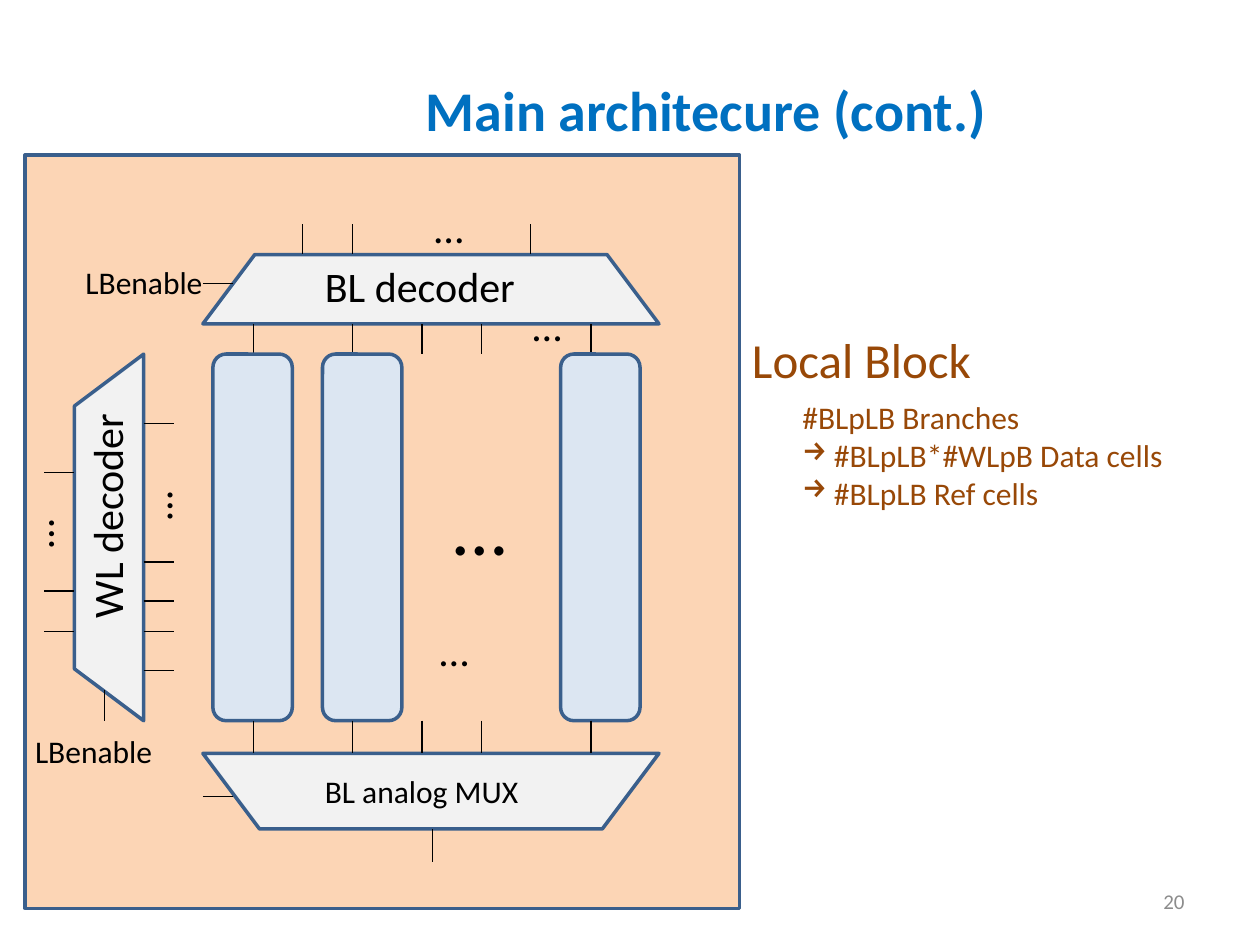
from dataclasses import dataclass

from lxml import etree
from pptx import Presentation
from pptx.dml.color import RGBColor
from pptx.enum.shapes import MSO_CONNECTOR, MSO_SHAPE
from pptx.enum.text import MSO_ANCHOR, PP_ALIGN
from pptx.oxml.ns import qn
from pptx.util import Inches, Pt

RECTANGLE = MSO_SHAPE.RECTANGLE
ROUNDED = MSO_SHAPE.ROUNDED_RECTANGLE
TRAPEZOID = MSO_SHAPE.TRAPEZOID
STRAIGHT = MSO_CONNECTOR.STRAIGHT
TOP, MIDDLE = MSO_ANCHOR.TOP, MSO_ANCHOR.MIDDLE
LEFT, RIGHT = PP_ALIGN.LEFT, PP_ALIGN.RIGHT
TITLE_ONLY = 5
STUB = 0.24
COLUMN_WIRES = (0.4, 1.19, 1.74, 2.21, 3.08)


@dataclass(frozen=True)
class Theme:
    """Colours, type sizes and line widths of the deck."""
    font: str = "Calibri"
    title: str = "0070C0"
    ink: str = "000000"
    note: str = "984807"
    number: str = "8C8C8C"
    block: str = "FCD5B5"
    decoder: str = "F2F2F2"
    branch: str = "DCE6F2"
    border: str = "3A5F8C"
    title_size: int = 32
    dots_size: int = 44
    heading_size: int = 28
    large_size: int = 24
    body_size: int = 18
    number_size: int = 12
    border_width: float = 2
    wire_width: float = 0.75


@dataclass(frozen=True)
class Box:
    """A rectangle in inches."""
    left: float
    top: float
    width: float
    height: float

    def inner(self, left, top, width, height):
        """Return a box placed relative to this one."""
        return Box(self.left + left, self.top + top, width, height)

    def place(self, shape):
        """Move and size a shape to this box."""
        shape.left, shape.top = Inches(self.left), Inches(self.top)
        shape.width, shape.height = Inches(self.width), Inches(self.height)


THEME = Theme()


def add_span(para, text, size, color, bold=False):
    """Append one formatted run to a paragraph."""
    span = para.add_run()
    span.text = text
    span.font.name = THEME.font
    span.font.size = Pt(size)
    span.font.bold = bold
    span.font.color.rgb = RGBColor.from_string(color)


def add_label(page, box, text, size, color=THEME.ink, rotation=0, wrap=True):
    """Add a text box with one line and return its frame."""
    label = page.shapes.add_textbox(0, 0, 0, 0)
    box.place(label)
    label.rotation = rotation
    frame = label.text_frame
    frame.word_wrap = wrap
    add_span(frame.paragraphs[0], text, size, color)
    return frame


def add_panel(page, kind, box, fill, rotation=0):
    """Add a filled, outlined preset shape."""
    panel = page.shapes.add_shape(kind, 0, 0, 0, 0)
    box.place(panel)
    panel.rotation = rotation
    panel.shadow.inherit = False
    panel.fill.solid()
    panel.fill.fore_color.rgb = RGBColor.from_string(fill)
    panel.line.color.rgb = RGBColor.from_string(THEME.border)
    panel.line.width = Pt(THEME.border_width)
    if kind == TRAPEZOID:
        panel.adjustments[0] = 0.75
    return panel


def add_wire(page, box, left, top, across=0, down=0):
    """Draw a thin line from a point relative to a box."""
    x, y = box.left + left, box.top + top
    wire = page.shapes.add_connector(
        STRAIGHT, Inches(x), Inches(y), Inches(x + across), Inches(y + down))
    wire.line.color.rgb = RGBColor.from_string(THEME.ink)
    wire.line.width = Pt(THEME.wire_width)
    etree.SubElement(wire.element.spPr, qn("a:effectLst"))


def add_dots(page, box, left, top, rotation=0):
    """Add a small ellipsis relative to a box."""
    add_label(page, box.inner(left, top, 0.63, 0.5), "…", THEME.large_size, rotation=rotation)


def add_bit_decoder(page, box):
    """Draw the bit line decoder with its wires."""
    add_panel(page, TRAPEZOID, box, THEME.decoder)
    for left in (0.79, 1.19, 2.6):
        add_wire(page, box, left, -STUB, down=STUB)
    for left in COLUMN_WIRES:
        add_wire(page, box, left, box.height, down=STUB)
    add_wire(page, box, 0, 0.23, across=STUB)
    add_dots(page, box, 1.74, -0.47)
    add_dots(page, box, 2.52, 0.31)
    add_label(page, box.inner(0.87, 0, 2.83, 0.5), "BL decoder", THEME.large_size)
    add_label(page, box.inner(-1.03, 0.02, 1.24, 0.4), "LBenable", THEME.body_size)


def add_branches(page, box):
    """Draw the branch columns and the ellipses between them."""
    for left in (0, 0.87, 2.76):
        add_panel(page, ROUNDED, box.inner(left, 0, 0.63, box.height), THEME.branch)
    add_label(page, box.inner(1.81, 0.94, 0.63, 0.84), "…", THEME.dots_size)
    add_dots(page, box, 1.7, 2.1)


def add_word_decoder(page, box):
    """Draw the upright word line decoder with its wires."""
    turned = box.inner((box.width - box.height) / 2, (box.height - box.width) / 2,
                       box.height, box.width)
    add_panel(page, TRAPEZOID, turned, THEME.decoder, rotation=270)
    for top in (0.94, 1.88, 2.2):
        add_wire(page, box, -STUB, top, across=STUB)
    for top in (0.55, 1.65, 1.96, 2.2, 2.51):
        add_wire(page, box, box.width, top, across=STUB)
    add_wire(page, box, 0.24, 2.67, down=STUB)
    add_dots(page, box, 0.33, 0.85, rotation=270)
    add_dots(page, box, -0.61, 1.08, rotation=270)
    add_label(page, box.inner(-1.16, 0.53, 2.83, 0.5), "WL decoder",
              THEME.large_size, rotation=270)
    add_label(page, box.inner(-0.41, 2.95, 1.24, 0.4), "LBenable", THEME.body_size)


def add_analog_mux(page, box):
    """Draw the analog multiplexer with its wires."""
    panel = add_panel(page, TRAPEZOID, box, THEME.decoder)
    panel.element.spPr.get_or_add_xfrm().set("flipV", "1")
    for left in COLUMN_WIRES:
        add_wire(page, box, left, -0.26, down=0.26)
    add_wire(page, box, 0, 0.34, across=STUB)
    add_wire(page, box, 1.82, box.height, down=0.26)
    add_label(page, box.inner(0.87, 0.1, 1.97, 0.4), "BL analog MUX", THEME.body_size)


def add_local_block(page, box):
    """Draw the local block and the units inside it."""
    add_panel(page, RECTANGLE, box, THEME.block)
    add_bit_decoder(page, box.inner(1.41, 0.79, 3.62, 0.55))
    add_branches(page, box.inner(1.49, 1.58, 3.39, 2.91))
    add_word_decoder(page, box.inner(0.39, 1.58, 0.55, 2.91))
    add_analog_mux(page, box.inner(1.41, 4.75, 3.62, 0.6))


def add_notes_column(page, box):
    """Write the heading and the cell counts beside the block."""
    add_label(page, box.inner(0, 0, 1.96, 0.57), "Local Block",
              THEME.heading_size, THEME.note, wrap=False)
    frame = add_label(page, box.inner(0.4, 0.54, 3.09, 1.01), "#BLpLB Branches",
                      THEME.body_size, THEME.note, wrap=False)
    for text in ("#BLpLB*#WLpB Data cells", "#BLpLB Ref cells"):
        para = frame.add_paragraph()
        add_span(para, text, THEME.body_size, THEME.note)
        settings = para._p.get_or_add_pPr()
        settings.set("marL", str(Inches(0.25)))
        settings.set("indent", str(-Inches(0.25)))
        etree.SubElement(settings, qn("a:buChar")).set("char", "→")


def add_title(page, box, text):
    """Move and format the title placeholder."""
    title = page.shapes.title
    box.place(title)
    frame = title.text_frame
    frame.vertical_anchor = TOP
    para = frame.paragraphs[0]
    para.alignment = LEFT
    add_span(para, text, THEME.title_size, THEME.title, bold=True)


def add_page_number(page, box, text):
    """Write the page number at the right of its box."""
    frame = add_label(page, box, text, THEME.number_size, THEME.number)
    frame.vertical_anchor = MIDDLE
    frame.paragraphs[0].alignment = RIGHT


def main():
    """Build the deck and save it."""
    deck = Presentation()
    deck.slide_width, deck.slide_height = Inches(10), Inches(7.5)
    page = deck.slides.add_slide(deck.slide_layouts[TITLE_ONLY])
    add_title(page, Box(3.28, 0.55, 5.94, 0.64), "Main architecure (cont.)")
    add_local_block(page, Box(0.2, 1.23, 5.67, 5.98))
    add_notes_column(page, Box(5.87, 2.57, 3.49, 1.55))
    add_page_number(page, Box(7.17, 6.95, 2.33, 0.4), "20")
    deck.save("out.pptx")


if __name__ == "__main__":
    main()
